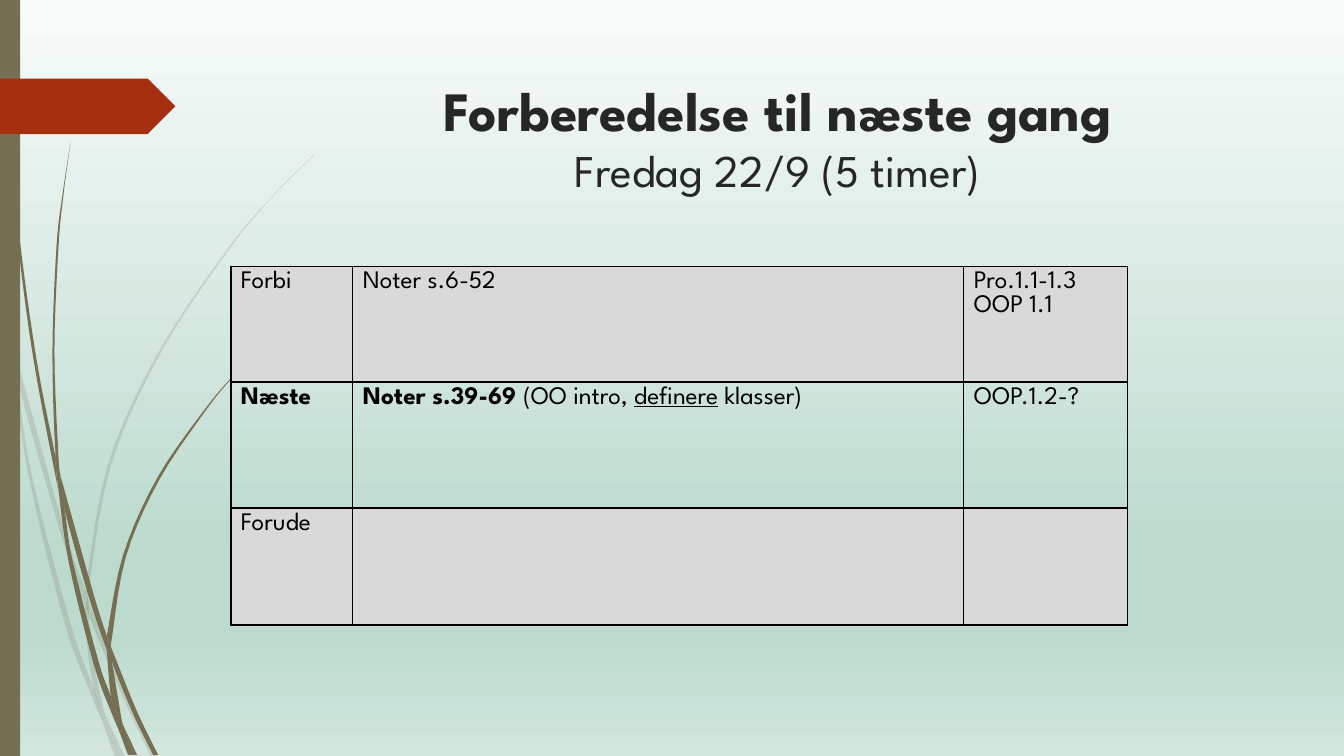
import pptx
import pptx.dml.color
import pptx.enum.shapes
import pptx.enum.text
import pptx.oxml
import pptx.oxml.ns
import pptx.util
from pptx.util import Inches

COLORS = {"olive": "766F54", "red": "A53010", "title": "262626",
          "black": "000000", "gray": "D9D9D9"}
BACKDROP = [(0, "F8FBFA"), (74, "BCDACE"), (83, "BCDACE"), (100, "D2E6DE")]
FONT = "League Spartan"
CURVE_STEPS = 5

# Each blade of grass is a pair of edges, from one end and back again.
PALE_BLADES = [
    ([(0, 2.82), (0.09, 3.22), (0.11, 3.5)], [(0.1, 3.44), (0, 2.99)]),
    ([(0.14, 3.45), (0.17, 3.76), (0.58, 5.22), (0.84, 5.99)],
     [(0.85, 5.86), (0.62, 5.2), (0.14, 3.45)]),
    ([(0.88, 5.96), (0.88, 6.1), (1.23, 6.94), (1.5, 7.51)],
     [(1.55, 7.51), (1.27, 6.92), (0.92, 6.07), (0.88, 5.96)]),
    ([(1.05, 7.11), (1.19, 7.51)], [(1.24, 7.51), (1.05, 7.11)]),
    ([(0.11, 3.5), (0.28, 4.7), (0.65, 6.21), (0.92, 6.93), (1.01, 7.14)],
     [(0.99, 7.07), (0.93, 6.83), (0.7, 6.19), (0.31, 4.69), (0.17, 3.76), (0.11, 3.5)]),
    ([(0.84, 5.99), (0.87, 6.46), (0.93, 6.83), (0.96, 6.92), (1.05, 7.11)],
     [(1.03, 7.06), (0.91, 6.46), (0.88, 6.1), (0.88, 6.08), (0.84, 5.99)]),
    ([(0.88, 5.96), (0.88, 5.84), (1.1, 4.62), (1.6, 3.49), (2.29, 2.45),
      (2.68, 1.98), (2.9, 1.75), (3.12, 1.54)],
     [(3.12, 1.53), (2.89, 1.75), (2.68, 1.97), (2.28, 2.44), (1.58, 3.48),
      (1.07, 4.61), (0.85, 5.84), (0.85, 5.86)]),
    ([(1.01, 7.14), (1.14, 7.51)], [(1.19, 7.51), (1.01, 7.14)]),
    ([(0.88, 6.08), (0.88, 6.1), (0.88, 5.96)], [(0.85, 5.86), (0.84, 5.99)]),
    ([(0.93, 6.83), (0.99, 7.07), (1.01, 7.14), (1.19, 7.51)],
     [(1.05, 7.11), (0.96, 6.92), (0.93, 6.83)]),
]
DARK_BLADES = [
    ([(0.03, 0), (0.04, 0.48), (0.07, 1.1), (0.17, 2.33), (0.33, 3.55),
      (0.56, 4.77), (0.57, 4.81)],
     [(0.55, 4.57), (0.55, 4.53), (0.36, 3.55), (0.19, 2.32), (0.08, 1.09),
      (0.05, 0.48), (0.04, 0)]),
    ([(0.6, 4.72), (0.64, 5.05), (0.88, 5.92), (1.06, 6.45)],
     [(1.06, 6.33), (1.06, 6.31), (0.93, 5.9), (0.6, 4.72)]),
    ([(1.1, 6.41), (1.11, 6.56), (1.32, 7.08), (1.52, 7.49)],
     [(1.57, 7.49), (1.36, 7.06), (1.13, 6.49), (1.1, 6.41)]),
    ([(0.57, 4.77), (0.68, 5.57), (0.93, 6.59), (1.11, 7.08), (1.17, 7.22)],
     [(1.16, 7.17), (1.1, 6.91), (0.98, 6.57), (0.72, 5.56), (0.64, 5.05), (0.57, 4.77)]),
    ([(0.6, 4.72), (0.58, 4.53), (0.54, 3.49), (0.58, 2.45), (0.63, 1.93), (0.7, 1.41)],
     [(0.7, 1.41), (0.62, 1.93), (0.56, 2.45), (0.52, 3.49), (0.55, 4.49), (0.6, 4.72)]),
    ([(1.22, 7.19), (1.33, 7.49)], [(1.36, 7.49), (1.22, 7.19)]),
    ([(0.55, 4.49), (0.55, 4.53), (0.57, 4.77), (0.64, 5.05)],
     [(0.6, 4.72), (0.55, 4.49)]),
    ([(1.1, 6.41), (1.11, 6.33), (1.25, 5.52), (1.58, 4.76), (2.05, 4.06),
      (2.31, 3.74), (2.45, 3.59), (2.61, 3.44)],
     [(2.6, 3.44), (2.45, 3.58), (2.31, 3.73), (2.04, 4.05), (1.56, 4.74),
      (1.22, 5.51), (1.06, 6.31)]),
    ([(1.17, 7.22), (1.27, 7.49)], [(1.31, 7.49), (1.17, 7.22)]),
    ([(1.06, 6.45), (1.1, 6.91), (1.16, 7.06), (1.22, 7.19)],
     [(1.21, 7.16), (1.11, 6.56), (1.09, 6.51), (1.06, 6.45)]),
    ([(1.06, 6.45), (1.09, 6.51), (1.11, 6.56)], [(1.1, 6.41), (1.06, 6.31)]),
    ([(1.1, 6.91), (1.16, 7.17), (1.17, 7.22), (1.3, 7.49)],
     [(1.33, 7.49), (1.22, 7.19), (1.16, 7.06), (1.1, 6.91)]),
]

# A cell is a list of paragraphs, each a list of (text, style) runs.
PLAN = [
    [[[("Forbi", "")]], [[("Noter s.6-52", "")]],
     [[("Pro.1.1-1.3", "")], [("OOP 1.1", "")]]],
    [[[("Næste", "bold")]],
     [[("Noter s.39-69 ", "bold"), ("(OO intro, ", ""), ("definere", "underline"),
       (" klasser)", "")]],
     [[("OOP.1.2-?", "")]]],
    [[[("Forude", "")]], [], []],
]


def smooth(anchors):
    """Return points on a Catmull-Rom curve through the anchors."""
    padded = [anchors[0], *anchors, anchors[-1]]
    points = [anchors[0]]
    for a, b, c, d in zip(padded, padded[1:], padded[2:], padded[3:]):
        for step in range(1, CURVE_STEPS + 1):
            t = step / CURVE_STEPS
            points.append(tuple(
                q + t / 2 * (r - p + t * (2 * p - 5 * q + 4 * r - s
                                          + t * (3 * (q - r) + s - p)))
                for p, q, r, s in zip(a, b, c, d)))
    return points


class SlideMaker:
    def __init__(self, slide):
        self.slide = slide

    def rgb(self, name):
        return pptx.dml.color.RGBColor.from_string(COLORS[name])

    def paint(self, shape, color):
        shape.shadow.inherit = False
        shape.fill.solid()
        shape.fill.fore_color.rgb = self.rgb(color)
        shape.line.fill.background()

    def background(self, stops):
        fill = self.slide.background.fill
        fill.gradient()
        fill.gradient_angle = 270
        stop_list = self.slide.element.find(".//" + pptx.oxml.ns.qn("a:gsLst"))
        stop_list.clear()
        for position, color in stops:
            stop_list.append(pptx.oxml.parse_xml(
                f'<a:gs {pptx.oxml.ns.nsdecls("a")} pos="{position * 1000}">'
                f'<a:srgbClr val="{color}"/></a:gs>'))

    def blades(self, blades, color, opacity=100):
        group = self.slide.shapes.add_group_shape()
        for edges in blades:
            points = [(Inches(x), Inches(y)) for edge in edges for x, y in smooth(edge)]
            builder = group.shapes.build_freeform(*points[0])
            builder.add_line_segments(points[1:])
            blade = builder.convert_to_shape()
            self.paint(blade, color)
            if opacity < 100:
                tint = blade.element.spPr.find(".//" + pptx.oxml.ns.qn("a:srgbClr"))
                tint.append(pptx.oxml.parse_xml(
                    f'<a:alpha {pptx.oxml.ns.nsdecls("a")} val="{opacity * 1000}"/>'))

    def shape(self, kind, left, top, width, height, color):
        box = self.slide.shapes.add_shape(
            kind, Inches(left), Inches(top), Inches(width), Inches(height))
        self.paint(box, color)

    def run(self, para, text, size, color, style=""):
        span = para.add_run()
        span.text = text
        span.font.name = FONT
        span.font.size = pptx.util.Pt(size)
        span.font.color.rgb = self.rgb(color)
        span.font.bold = style == "bold"
        span.font.underline = style == "underline"

    def title(self, heading, subheading):
        box = self.slide.shapes.title
        box.left, box.top = Inches(2.84), Inches(0.68)
        box.width, box.height = Inches(9.75), Inches(1.4)
        frame = box.text_frame
        frame.auto_size = pptx.enum.text.MSO_AUTO_SIZE.NONE
        frame.vertical_anchor = pptx.enum.text.MSO_ANCHOR.TOP
        frame.margin_top = Inches(0.19)
        para = frame.paragraphs[0]
        para.alignment = pptx.enum.text.PP_ALIGN.CENTER
        para.line_spacing = pptx.util.Pt(39)
        self.run(para, heading, 39.6, "title", "bold")
        para.add_line_break()
        self.run(para, subheading, 32.4, "title")

    def border(self, cell):
        properties = cell._tc.get_or_add_tcPr()
        for position, side in enumerate(("lnL", "lnR", "lnT", "lnB")):
            properties.insert(position, pptx.oxml.parse_xml(
                f'<a:{side} {pptx.oxml.ns.nsdecls("a")} w="12700"><a:solidFill>'
                f'<a:srgbClr val="{COLORS["black"]}"/></a:solidFill></a:{side}>'))

    def table(self, rows, left, top, widths, heights):
        table = self.slide.shapes.add_table(
            len(heights), len(widths), Inches(left), Inches(top),
            Inches(sum(widths)), Inches(sum(heights))).table
        table.first_row = table.horz_banding = False
        for column, width in zip(table.columns, widths):
            column.width = Inches(width)
        for index, (row, height) in enumerate(zip(rows, heights)):
            table.rows[index].height = Inches(height)
            for cell, paragraphs in zip(table.rows[index].cells, row):
                if index % 2:
                    cell.fill.background()
                else:
                    cell.fill.solid()
                    cell.fill.fore_color.rgb = self.rgb("gray")
                self.border(cell)
                frame = cell.text_frame
                for number, spans in enumerate(paragraphs):
                    para = frame.add_paragraph() if number else frame.paragraphs[0]
                    for text, style in spans:
                        self.run(para, text, 18, "black", style)


def main():
    deck = pptx.Presentation()
    deck.slide_width, deck.slide_height = Inches(13.33), Inches(7.5)
    page = SlideMaker(deck.slides.add_slide(deck.slide_layouts[5]))
    shapes = pptx.enum.shapes.MSO_SHAPE
    page.background(BACKDROP)
    page.blades(PALE_BLADES, "olive", opacity=20)
    page.blades(DARK_BLADES, "olive")
    page.shape(shapes.RECTANGLE, 0, 0, 0.2, 7.5, "olive")
    page.shape(shapes.PENTAGON, 0, 0.78, 1.74, 0.55, "red")
    page.title("Forberedelse til næste gang", "Fredag 22/9 (5 timer)")
    page.table(PLAN, 2.29, 2.64, [1.21, 6.06, 1.62], [1.15, 1.25, 1.16])
    deck.save("out.pptx")


if __name__ == "__main__":
    main()
